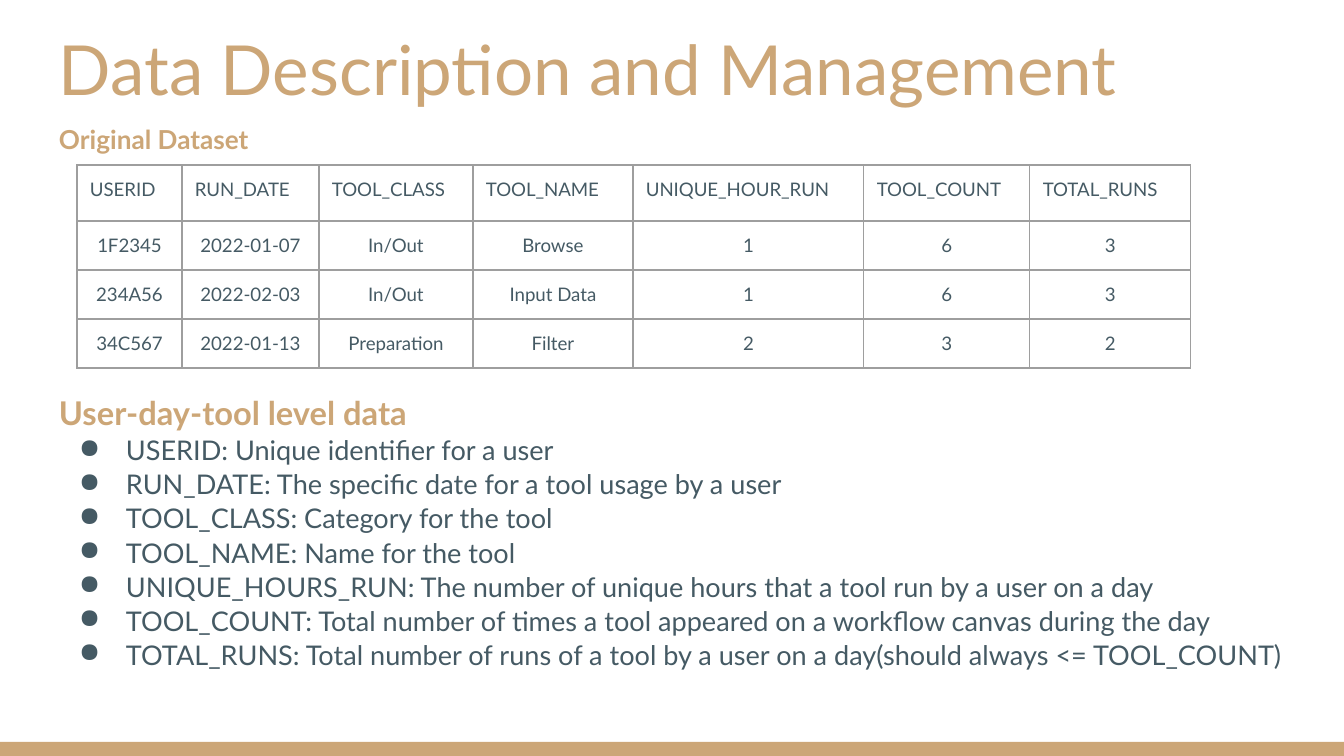
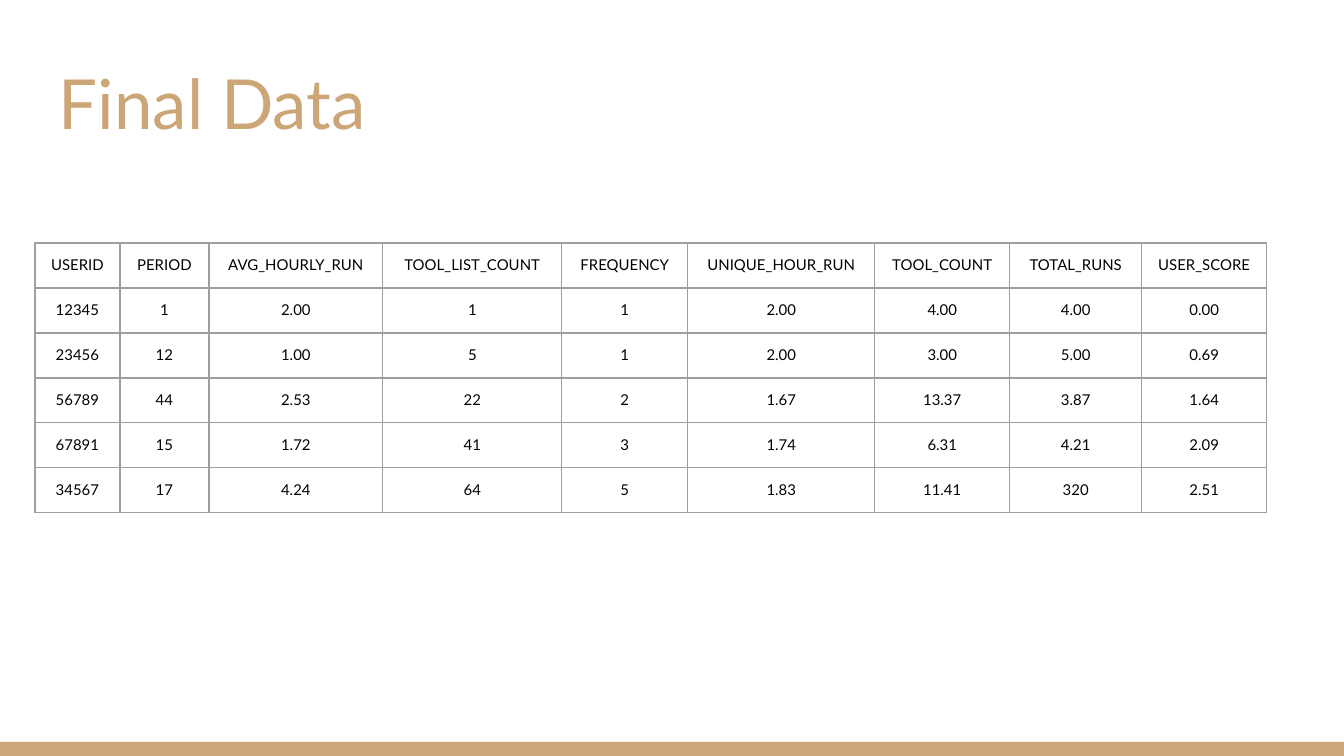
from lxml import etree
from pptx import Presentation
from pptx.dml.color import RGBColor
from pptx.enum.shapes import MSO_SHAPE
from pptx.enum.text import MSO_ANCHOR, PP_ALIGN
from pptx.oxml.ns import qn
from pptx.util import Emu, Pt

RECT = MSO_SHAPE.RECTANGLE
TOP, BOTTOM = MSO_ANCHOR.TOP, MSO_ANCHOR.BOTTOM
LEFT, CENTER = PP_ALIGN.LEFT, PP_ALIGN.CENTER
GOLD, SLATE, BLACK, GREY = "CCA677", "455A64", "000000", "9E9E9E"
FONT = "Lato"
PX = 914400 / 134.4  # EMU in one px
WIDE, HIGH = 1344, 756
EDGE, PAD = 46, 13
rgb = RGBColor.from_string


def add_text(slide, box, lines, anchor=TOP, space=None):
    """Each line is (text, size, color, bold, bullet)."""
    frame = slide.shapes.add_textbox(*[Emu(round(v * PX)) for v in box]).text_frame
    frame.word_wrap = True
    frame.vertical_anchor = anchor
    frame.margin_left = frame.margin_right = Emu(round(PAD * PX))
    frame.margin_top = frame.margin_bottom = Emu(round(PAD * PX))
    for i, (text, size, color, bold, bullet) in enumerate(lines):
        para = frame.add_paragraph() if i else frame.paragraphs[0]
        para.text = text
        if bullet:
            props = para._p.get_or_add_pPr()
            props.set("marL", str(round(67 * PX)))
            props.set("indent", str(round(-47 * PX)))
            tint = etree.SubElement(props, qn("a:buClr"))
            etree.SubElement(tint, qn("a:srgbClr"), val=color)
            etree.SubElement(props, qn("a:buChar"), char="●")
        if space:
            para.line_spacing = space
        para.font.name, para.font.size, para.font.bold = FONT, Pt(size), bold
        para.font.color.rgb = rgb(color)


def add_grid(slide, left, top, cols, rows, data, size, color, head):
    box = [Emu(round(v * PX)) for v in (left, top, sum(cols), sum(rows))]
    table = slide.shapes.add_table(len(rows), len(cols), *box).table
    table.first_row = table.horz_banding = False
    for col, width in zip(table.columns, cols):
        col.width = Emu(round(width * PX))
    for r, (row, height) in enumerate(zip(table.rows, rows)):
        row.height = Emu(round(height * PX))
        for cell, text in zip(row.cells, data[r]):
            cell.margin_left = cell.margin_right = Emu(round(PAD * PX))
            cell.margin_top = cell.margin_bottom = Emu(round(PAD * PX))
            props = cell._tc.get_or_add_tcPr()
            for side in ("lnL", "lnR", "lnT", "lnB"):
                line = etree.SubElement(props, qn("a:" + side), w=str(Pt(0.75)))
                fill = etree.SubElement(line, qn("a:solidFill"))
                etree.SubElement(fill, qn("a:srgbClr"), val=GREY)
            cell.fill.background()
            para = cell.text_frame.paragraphs[0]
            para.text = text
            para.alignment = CENTER if r else head
            para.font.name, para.font.size = FONT, Pt(size)
            para.font.color.rgb = rgb(color)


prs = Presentation()
prs.slide_width, prs.slide_height = Emu(round(WIDE * PX)), Emu(round(HIGH * PX))

# Shared title and footer band
slides = []
for title, top in (("Data Description and Management", 0), ("Final Data", 34)):
    slide = prs.slides.add_slide(prs.slide_layouts[6])
    band = slide.shapes.add_shape(
        RECT, *[Emu(round(v * PX)) for v in (0, HIGH - 14, WIDE, 14)])
    band.shadow.inherit = False
    band.fill.solid()
    band.fill.fore_color.rgb = rgb(GOLD)
    band.line.fill.background()
    add_text(slide, (EDGE, top, 1253, 122), [(title, 37, GOLD, False, False)], BOTTOM)
    slides.append(slide)
first, final = slides

# Slide 1: field notes
fields = [
    "USERID: Unique identifier for a user",
    "RUN_DATE: The specific date for a tool usage by a user",
    "TOOL_CLASS: Category for the tool",
    "TOOL_NAME: Name for the tool",
    "UNIQUE_HOURS_RUN: The number of unique hours that a tool run by a user on a day",
    "TOOL_COUNT: Total number of times a tool appeared on a workflow canvas during the day",
    "TOTAL_RUNS: Total number of runs of a tool by a user on a day"
    "(should always <= TOOL_COUNT)",
]
notes = [("User-day-tool level data", 17.5, GOLD, True, False)]
notes += [(field, 14.5, SLATE, False, True) for field in fields]
add_text(first, (EDGE, 378, 1259, 355), notes, space=1.05)

# Slide 1: source table and its label
source = [
    ["USERID", "RUN_DATE", "TOOL_CLASS", "TOOL_NAME", "UNIQUE_HOUR_RUN",
     "TOOL_COUNT", "TOTAL_RUNS"],
    ["1F2345", "2022-01-07", "In/Out", "Browse", "1", "6", "3"],
    ["234A56", "2022-02-03", "In/Out", "Input Data", "1", "6", "3"],
    ["34C567", "2022-01-13", "Preparation", "Filter", "2", "3", "2"],
]
add_grid(first, 77, 165, [105, 137, 154, 160, 231, 166, 161], [56] + [49] * 3,
         source, 10, SLATE, LEFT)
add_text(first, (EDGE, 110, 268, 59), [("Original Dataset", 14, GOLD, True, False)])

# Slide 2: final table
scores = [
    ["USERID", "PERIOD", "AVG_HOURLY_RUN", "TOOL_LIST_COUNT", "FREQUENCY",
     "UNIQUE_HOUR_RUN", "TOOL_COUNT", "TOTAL_RUNS", "USER_SCORE"],
    ["12345", "1", "2.00", "1", "1", "2.00", "4.00", "4.00", "0.00"],
    ["23456", "12", "1.00", "5", "1", "2.00", "3.00", "5.00", "0.69"],
    ["56789", "44", "2.53", "22", "2", "1.67", "13.37", "3.87", "1.64"],
    ["67891", "15", "1.72", "41", "3", "1.74", "6.31", "4.21", "2.09"],
    ["34567", "17", "4.24", "64", "5", "1.83", "11.41", "320", "2.51"],
]
add_grid(final, 35, 243, [85, 89, 174, 179, 126, 187, 135, 132, 125], [45] * 6,
         scores, 8, BLACK, CENTER)

prs.save("out.pptx")
